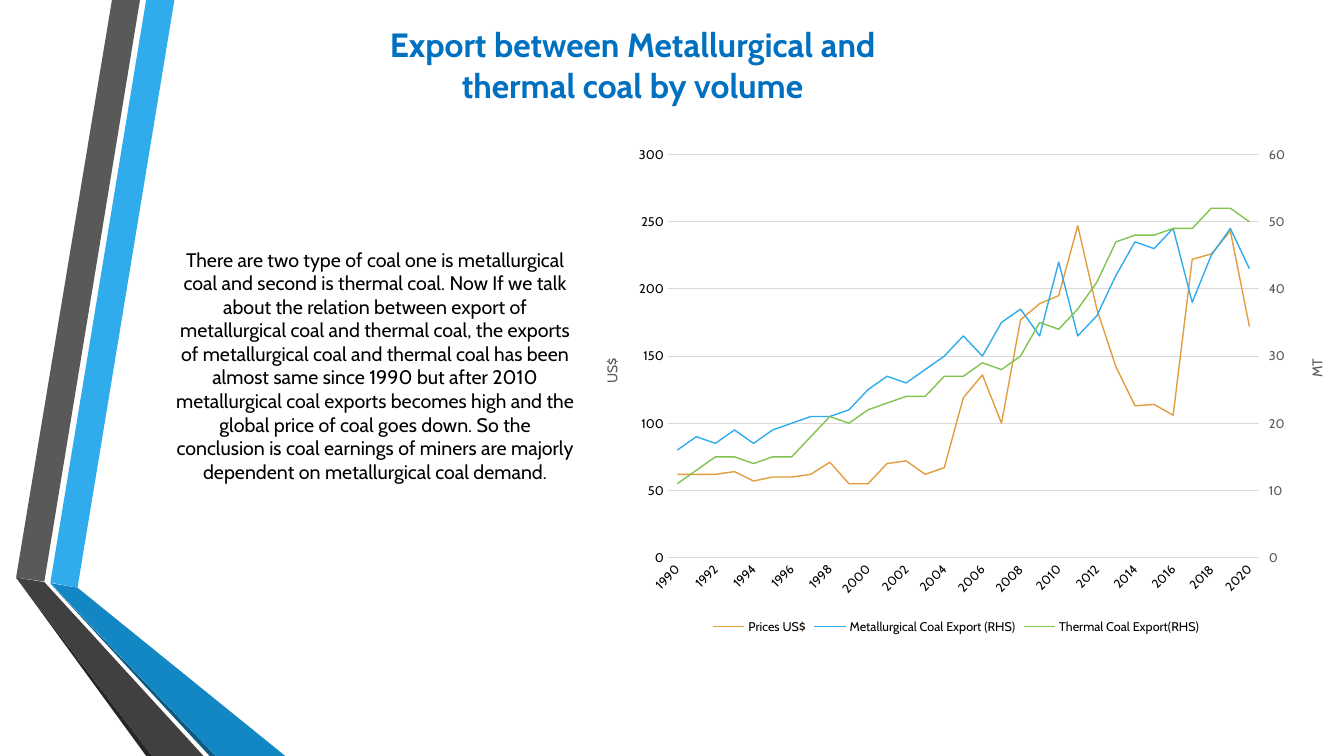
import copy

import pptx
import pptx.chart.axis
import pptx.chart.data
import pptx.dml.color
import pptx.enum.chart
import pptx.enum.text
import pptx.oxml
import pptx.oxml.ns
import pptx.util

Pt = pptx.util.Pt
RGBColor = pptx.dml.color.RGBColor
qn = pptx.oxml.ns.qn

FONT = "Cabin"
BLACK = RGBColor(0x00, 0x00, 0x00)
TITLE_BLUE = RGBColor(0x00, 0x70, 0xC0)
SKY = RGBColor(0x30, 0xAC, 0xEC)
OCEAN = RGBColor(0x12, 0x87, 0xC3)
DEEP_BLUE = RGBColor(0x0C, 0x5A, 0x82)
GREY = RGBColor(0x59, 0x59, 0x59)
DARK_GREY = RGBColor(0x40, 0x40, 0x40)
NEAR_BLACK = RGBColor(0x26, 0x26, 0x26)
GRID_GREY = RGBColor(0xD9, 0xD9, 0xD9)
ORANGE = RGBColor(0xE2, 0x9D, 0x3E)
GREEN = RGBColor(0x80, 0xC3, 0x4F)


def set_layout(parent, **fractions):
    """Place a chart part by hand, in fractions of the chart's size."""
    for old_layout in parent.findall(qn("c:layout")):
        parent.remove(old_layout)
    target = '<c:layoutTarget val="inner"/>' if "w" in fractions else ""
    modes = "".join(f'<c:{key}Mode val="edge"/>' for key in "xy")
    values = "".join(f'<c:{key} val="{value}"/>' for key, value in fractions.items())
    layout = pptx.oxml.parse_xml(
        f'<c:layout {pptx.oxml.ns.nsdecls("c")}><c:manualLayout>'
        f"{target}{modes}{values}</c:manualLayout></c:layout>"
    )
    parent.insert(0 if parent.find(qn("c:tx")) is None else 1, layout)


presentation = pptx.Presentation()
presentation.slide_width = Pt(960)
presentation.slide_height = Pt(540)
slide = presentation.slides.add_slide(presentation.slide_layouts[6])

# Folded ribbons along the left edge
ribbons = [
    (SKY, [(36, 416.2), (55.4, 419.8), (124.6, 0), (104.4, 0)]),
    (GREY, [(100, 0), (80, 0), (11.5, 412.6), (31.7, 415.4)]),
    (NEAR_BLACK, [(11.5, 412.6), (104.4, 540), (108.7, 540)]),
    (DEEP_BLUE, [(36, 416.9), (149.8, 540), (154.1, 540)]),
    (OCEAN, [(36, 416.5), (154.1, 540), (203.8, 540), (55.4, 419.8)]),
    (DARK_GREY, [(145.4, 540), (31.7, 415.8), (11.5, 412.6), (108.7, 540)]),
]
for color, points in ribbons:
    corners = [(Pt(x), Pt(y)) for x, y in points]
    builder = slide.shapes.build_freeform(*corners[0])
    builder.add_line_segments(corners[1:], close=True)
    ribbon = builder.convert_to_shape()
    ribbon.shadow.inherit = False
    ribbon.fill.solid()
    ribbon.fill.fore_color.rgb = color
    ribbon.line.fill.background()

# Title and body text
body = (
    "There are two type of coal one is metallurgical coal and second is thermal coal. "
    "Now If we talk about the relation between export of metallurgical coal and thermal coal, "
    "the exports of metallurgical coal and thermal coal has been almost same since 1990 "
    "but after 2010 metallurgical coal exports becomes high and the global price of coal "
    "goes down. So the conclusion is coal earnings of miners are majorly dependent on "
    "metallurgical coal demand."
)
anchors = pptx.enum.text.MSO_ANCHOR
texts = [
    ("Export between Metallurgical and thermal coal by volume",
     (238.3, 8, 427, 70.5), anchors.BOTTOM, 24, TITLE_BLUE, True),
    (body, (118, 78, 300, 366), anchors.MIDDLE, 14, BLACK, False),
]
for text, box, anchor, size, color, bold in texts:
    text_frame = slide.shapes.add_textbox(*map(Pt, box)).text_frame
    text_frame.word_wrap = True
    text_frame.vertical_anchor = anchor
    paragraph = text_frame.paragraphs[0]
    paragraph.text = text
    paragraph.alignment = pptx.enum.text.PP_ALIGN.CENTER
    paragraph.font.name = FONT
    paragraph.font.size = Pt(size)
    paragraph.font.bold = bold
    paragraph.font.color.rgb = color

# Line chart: prices on the left axis, exports on the right
series_table = [
    ("Prices US$", ORANGE,
     [62, 62, 62, 64, 57, 60, 60, 62, 71, 55, 55, 70, 72, 62, 67, 119, 136, 100, 177, 189,
      195, 247, 185, 142, 113, 114, 106, 222, 226, 243, 172]),
    ("Metallurgical Coal Export (RHS)", SKY,
     [16, 18, 17, 19, 17, 19, 20, 21, 21, 22, 25, 27, 26, 28, 30, 33, 30, 35, 37, 33,
      44, 33, 36, 42, 47, 46, 49, 38, 45, 49, 43]),
    ("Thermal Coal Export(RHS)", GREEN,
     [11, 13, 15, 15, 14, 15, 15, 18, 21, 20, 22, 23, 24, 24, 27, 27, 29, 28, 30, 35,
      34, 37, 41, 47, 48, 48, 49, 49, 52, 52, 50]),
]
chart_data = pptx.chart.data.CategoryChartData()
chart_data.categories = [str(year) for year in range(1990, 2021)]
for name, color, values in series_table:
    chart_data.add_series(name, values)
chart = slide.shapes.add_chart(
    pptx.enum.chart.XL_CHART_TYPE.LINE, Pt(412), Pt(96), Pt(541.5), Pt(360), chart_data
).chart
chart.has_title = False
chart.font.name = FONT
chart.font.size = Pt(10)
chart.font.color.rgb = BLACK
chart.has_legend = True
chart.legend.position = pptx.enum.chart.XL_LEGEND_POSITION.BOTTOM
chart.legend.include_in_layout = False
chart.legend.font.name = FONT
chart.legend.font.size = Pt(9)
chart.legend.font.color.rgb = BLACK
chart.plots[0].vary_by_categories = False
for series, (name, color, values) in zip(chart.plots[0].series, series_table):
    series.smooth = False
    series.format.line.color.rgb = color
    series.format.line.width = Pt(1)

year_axis, price_axis = chart.category_axis, chart.value_axis
for axis in (year_axis, price_axis):
    axis.major_tick_mark = pptx.enum.chart.XL_TICK_MARK.NONE
    axis.tick_labels.font.name = FONT
    axis.tick_labels.font.size = Pt(9)
    axis.tick_labels.font.color.rgb = BLACK
price_axis.has_major_gridlines = True
price_axis.format.line.fill.background()
for line in (year_axis.format.line, price_axis.major_gridlines.format.line):
    line.color.rgb = GRID_GREY
    line.width = Pt(0.75)
price_axis.minimum_scale = 0
price_axis.maximum_scale = 300
price_axis.major_unit = 50

title_paragraph = price_axis.axis_title.text_frame.paragraphs[0]
title_paragraph.text = "US$"
title_paragraph.font.name = FONT
title_paragraph.font.size = Pt(10)
title_paragraph.font.bold = False
title_paragraph.font.color.rgb = GREY
title_paragraph._p.getparent().find(qn("a:bodyPr")).set("rot", "-5400000")

plot_area = chart._chartSpace.chart.plotArea
year_element = plot_area.find(qn("c:catAx"))
price_element = plot_area.find(qn("c:valAx"))
year_element.find(qn("c:txPr")).find(qn("a:bodyPr")).set("rot", "-2700000")
label_skip = pptx.oxml.parse_xml(f'<c:tickLblSkip {pptx.oxml.ns.nsdecls("c")} val="2"/>')
year_element.find(qn("c:noMultiLvlLbl")).addprevious(label_skip)

# Second line group with its own axes
price_lines = plot_area.find(qn("c:lineChart"))
export_lines = copy.deepcopy(price_lines)
price_lines.addnext(export_lines)
for lines, kept in ((price_lines, slice(0, 1)), (export_lines, slice(1, None))):
    all_series = lines.findall(qn("c:ser"))
    for element in all_series:
        if element not in all_series[kept]:
            lines.remove(element)

hidden_year_element = copy.deepcopy(year_element)
export_element = copy.deepcopy(price_element)
price_element.addnext(export_element)
export_element.addnext(hidden_year_element)
YEAR_ID, EXPORT_ID = "50010", "50020"
for element, axis_id in zip(export_lines.findall(qn("c:axId")), (YEAR_ID, EXPORT_ID)):
    element.set("val", axis_id)
for element, own_id, cross_id in (
    (hidden_year_element, YEAR_ID, EXPORT_ID),
    (export_element, EXPORT_ID, YEAR_ID),
):
    element.find(qn("c:axId")).set("val", own_id)
    element.find(qn("c:crossAx")).set("val", cross_id)
pptx.chart.axis.CategoryAxis(hidden_year_element).visible = False
export_element.find(qn("c:axPos")).set("val", "r")
export_element.find(qn("c:crosses")).set("val", "max")

export_axis = pptx.chart.axis.ValueAxis(export_element)
export_axis.has_major_gridlines = False
export_axis.major_tick_mark = pptx.enum.chart.XL_TICK_MARK.OUTSIDE
export_axis.maximum_scale = 60
export_axis.major_unit = 10
export_axis.tick_labels.font.color.rgb = GREY
export_axis.axis_title.text_frame.paragraphs[0].runs[0].text = "MT"

set_layout(plot_area, x=0.12, y=0.04, w=0.78, h=0.8)
set_layout(price_element.find(qn("c:title")), x=0.03, y=0.44)
set_layout(export_element.find(qn("c:title")), x=0.96, y=0.44)

presentation.save("out.pptx")
